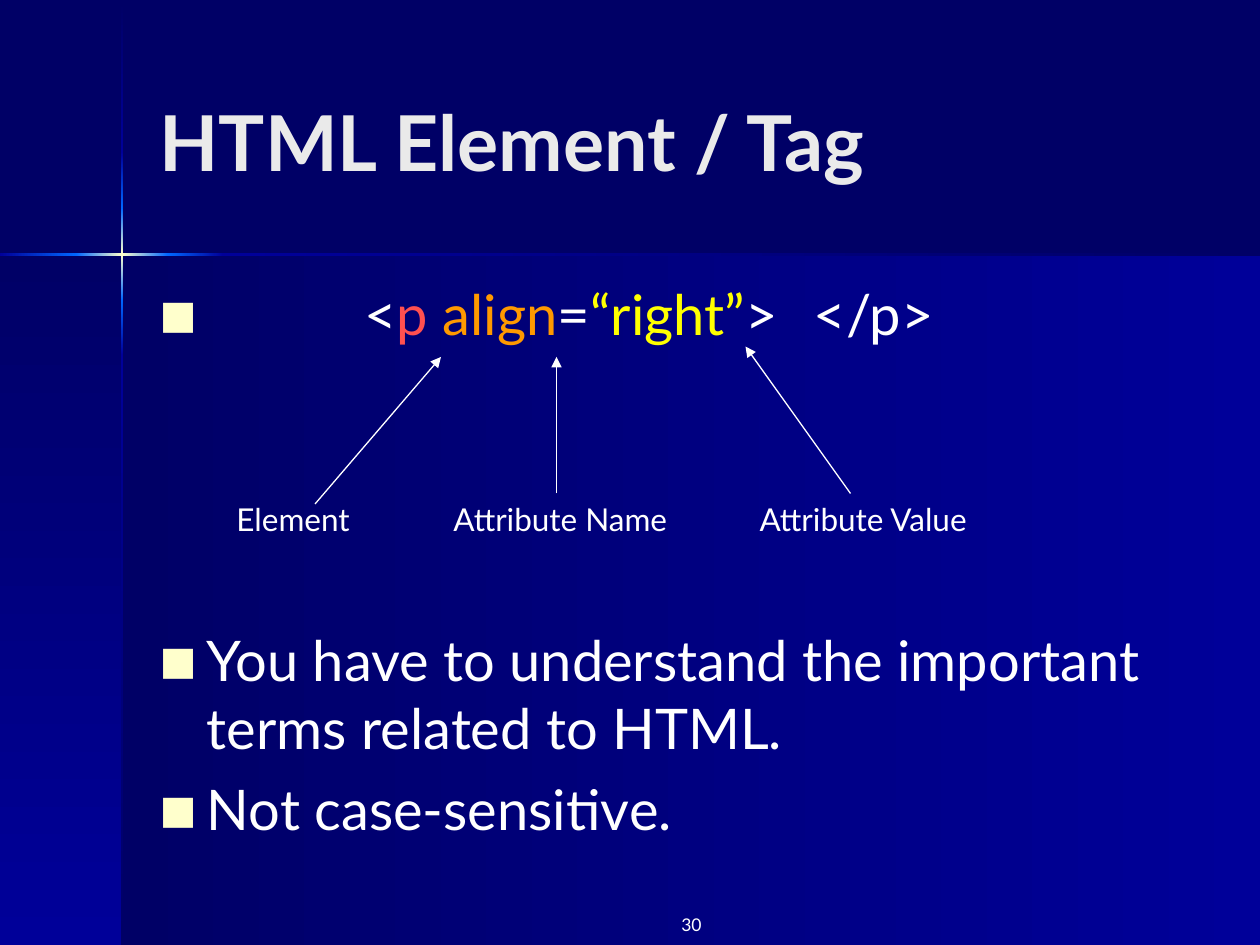
import copy
import itertools
from dataclasses import dataclass

import pptx
import pptx.dml.color
import pptx.enum.shapes
import pptx.enum.text
import pptx.oxml.ns
import pptx.oxml.xmlchemy
import pptx.util
from lxml import etree

Pt = pptx.util.Pt
qn = pptx.oxml.ns.qn
ALIGN = pptx.enum.text.PP_ALIGN
FIT = pptx.enum.text.MSO_AUTO_SIZE

FONT = "Lato"
WHITE, CREAM = "FFFFFF", "FFFFCC"
NAVY, BLUE, SKY = "000066", "000099", "0066FF"
BEAM = 1.44  # thickness of the two light beams


@dataclass
class Label:
    text: str
    left: float
    width: float
    start: tuple[float, float]
    tip: tuple[float, float]


LABELS = [
    Label("Element", 128, 84, (180, 288), (252, 204)),
    Label("Attribute Name", 252, 145, (318, 282), (318, 204)),
    Label("Attribute Value", 427, 141, (486, 282), (426, 198)),
]


def paint(color, code: str) -> None:
    color.rgb = pptx.dml.color.RGBColor.from_string(code)


def place(shape, left: float, top: float, width: float, height: float) -> None:
    shape.left, shape.top = Pt(left), Pt(top)
    shape.width, shape.height = Pt(width), Pt(height)


def write(para, text: str, size: float = 32, color: str = WHITE,
          bold: bool = False, align=ALIGN.LEFT, track: float = 0) -> None:
    """Add one formatted run; track is extra letter spacing in points."""
    para.alignment = align
    run = para.add_run()
    run.text = text
    run.font.name, run.font.size, run.font.bold = FONT, Pt(size), bold
    paint(run.font.color, color)
    if track:
        run.font._element.set("spc", str(round(track * 100)))


def bullet(para, indent: float) -> None:
    para.space_before = Pt(8)
    props = para._p.get_or_add_pPr()
    props.set("marL", str(Pt(indent)))
    props.set("indent", str(-Pt(indent)))
    tint = etree.SubElement(props, qn("a:buClr"))
    etree.SubElement(tint, qn("a:srgbClr"), val=CREAM)
    etree.SubElement(props, qn("a:buSzPct"), val="70000")
    etree.SubElement(props, qn("a:buFont"), typeface=FONT)
    etree.SubElement(props, qn("a:buChar"), char="■")


def panel(slide, left: float, top: float, width: float, height: float,
          colors: list[str], down: bool) -> None:
    """Draw a rectangle shaded evenly through the colours."""
    kind = pptx.enum.shapes.MSO_SHAPE.RECTANGLE
    shape = slide.shapes.add_shape(kind, Pt(left), Pt(top), Pt(width), Pt(height))
    shape.shadow.inherit = False
    shape.line.fill.background()
    shape.fill.gradient()
    shape.fill.gradient_angle = 270 if down else 0
    stops = shape.element.find(".//" + qn("a:gsLst"))
    while len(stops) < len(colors):
        stops.append(copy.deepcopy(stops[-1]))
    for i, (stop, code) in enumerate(zip(shape.fill.gradient_stops, colors)):
        stop.position = i / (len(colors) - 1)
        paint(stop.color, code)


def beam(slide, marks: list[float], shades: list[list[str]], down: bool) -> None:
    """Draw a beam as strips between neighbouring marks."""
    for (a, b), colors in zip(itertools.pairwise(marks), shades):
        box = (69.1, a, BEAM, b - a) if down else (a, 144.7, b - a, BEAM)
        panel(slide, *box, colors, down)


def arrow(slide, start: tuple[float, float], tip: tuple[float, float]) -> None:
    kind = pptx.enum.shapes.MSO_CONNECTOR.STRAIGHT
    line = slide.shapes.add_connector(kind, *map(Pt, start + tip))
    line.line.width = Pt(0.75)
    paint(line.line.color, WHITE)
    etree.SubElement(line.line._get_or_add_ln(), qn("a:tailEnd"), type="triangle")
    etree.SubElement(line.element.spPr, qn("a:effectLst"))


def textbox(slide, left: float, top: float, width: float, height: float,
            text: str, wrap: bool = True, **style) -> None:
    box = slide.shapes.add_textbox(Pt(left), Pt(top), Pt(width), Pt(height))
    box.text_frame.word_wrap = wrap
    box.text_frame.auto_size = FIT.NONE if wrap else FIT.SHAPE_TO_FIT_TEXT
    write(box.text_frame.paragraphs[0], text, **style)


def main() -> None:
    deck = pptx.Presentation()
    deck.slide_width, deck.slide_height = Pt(720), Pt(540)
    slide = deck.slides.add_slide(deck.slide_layouts[3])
    title, code, notes = list(slide.placeholders)[:3]
    slide.background.fill.solid()
    paint(slide.background.fill.fore_color, NAVY)

    # Backdrop: two panels and the crossing beams
    panel(slide, 70, 145.5, 650, 394.5, [NAVY, BLUE], False)
    panel(slide, 0, 145.5, 70, 394.5, [NAVY, BLUE], True)
    shades = [[NAVY, BLUE], [BLUE, SKY], [SKY, CREAM, SKY], [SKY, BLUE], [BLUE, NAVY]]
    beam(slide, [0.7, 87, 119, 171.5, 203, 540], shades, True)
    beam(slide, [0, 43.5, 96, 127.5, 720], shades[1:], False)

    # Placeholders go in front of the backdrop
    for shape, box in ((title, (84, 24, 594, 113)), (code, (84, 156, 618, 48)),
                       (notes, (84, 354, 594, 156))):
        place(shape, *box)
        shape.text_frame.auto_size = FIT.NONE
        shape.element.getparent().append(shape.element)
    title.text_frame.vertical_anchor = pptx.enum.text.MSO_ANCHOR.MIDDLE
    write(title.text_frame.paragraphs[0], "HTML Element / Tag",
          size=44, color="EAEAEA", bold=True)

    # Tag with its parts in colour
    tag = code.text_frame.paragraphs[0]
    bullet(tag, 117)
    for text, color in (("<", WHITE), ("p ", "FF5050"), ("align", "FF9900"),
                        ("=", WHITE), ("“right”", "FFFF00"), (">", WHITE)):
        write(tag, text, color=color)
    write(tag, " ", track=12.3)
    write(tag, "</p>")

    # Labels and arrows
    for item in LABELS:
        textbox(slide, item.left, 282, item.width, 29, item.text, wrap=False, size=18)
        arrow(slide, item.start, item.tip)

    # Remarks
    frame = notes.text_frame
    for i, text in enumerate((
            "You have to understand the important terms related to HTML.",
            "Not case-sensitive.")):
        para = frame.add_paragraph() if i else frame.paragraphs[0]
        bullet(para, 27)
        write(para, text)

    # Slide number
    textbox(slide, 360, 519, 48, 17, "30", size=10, align=ALIGN.RIGHT)

    deck.save("out.pptx")


if __name__ == "__main__":
    main()
